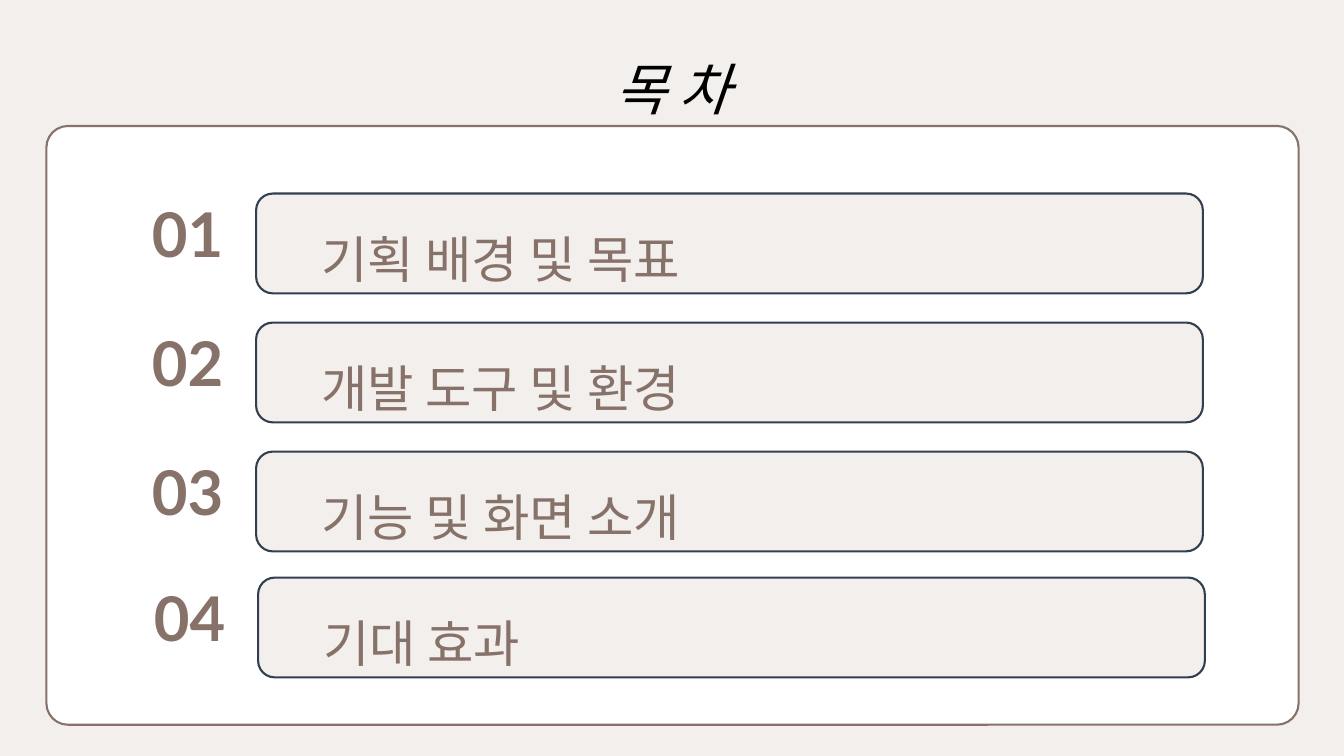
from pptx import Presentation
from pptx.dml.color import RGBColor
from pptx.enum.shapes import MSO_SHAPE
from pptx.enum.text import MSO_ANCHOR, MSO_AUTO_SIZE, PP_ALIGN
from pptx.util import Inches, Pt

ROUNDED = MSO_SHAPE.ROUNDED_RECTANGLE
MIDDLE = MSO_ANCHOR.MIDDLE
GROW = MSO_AUTO_SIZE.SHAPE_TO_FIT_TEXT
LEFT, CENTER = PP_ALIGN.LEFT, PP_ALIGN.CENTER
BEIGE, BROWN, NAVY = "F3EFEC", "87726A", "323F4F"


def color(value):
    return RGBColor.from_string(value)


def add_panel(box, corner, fill, line):
    shape = slide.shapes.add_shape(ROUNDED, *map(Inches, box))
    shape.adjustments[0] = corner
    shape.shadow.inherit = False
    shape.fill.solid()
    shape.fill.fore_color.rgb = color(fill)
    shape.line.color.rgb = color(line)
    shape.line.width = Pt(1.5)
    return shape


presentation = Presentation()
presentation.slide_width = Inches(13.33)
presentation.slide_height = Inches(7.5)
slide = presentation.slides.add_slide(presentation.slide_layouts[6])
slide.background.fill.solid()
slide.background.fill.fore_color.rgb = color(BEIGE)

add_panel((0.46, 1.25, 12.42, 5.94), 0.036, "FFFFFF", BROWN)

title = slide.shapes.add_textbox(Inches(3.42), Inches(0.16), Inches(6.49), Inches(0.98))
title.text_frame.word_wrap = True
title.text_frame.auto_size = GROW
paragraph = title.text_frame.paragraphs[0]
paragraph.alignment = CENTER
paragraph.line_spacing = 1.5
run = paragraph.add_run()
run.text = "목 차"
run.font.name = "Lato"
run.font.size = Pt(40)
run.font.italic = True
run.font.color.rgb = color("000000")

chapters = [
    ("기획 배경 및 목표", 2.54, 1.92),
    ("개발 도구 및 환경", 2.54, 3.2),
    ("기능 및 화면 소개", 2.54, 4.48),
    ("기대 효과", 2.56, 5.73),
]
for index, (chapter, left, top) in enumerate(chapters, 1):
    bar = add_panel((left, top, 9.39, 0.99), 0.167, BEIGE, NAVY)
    bar.text_frame.vertical_anchor = MIDDLE
    paragraph = bar.text_frame.paragraphs[0]
    paragraph.level = 1
    paragraph.alignment = LEFT
    paragraph.line_spacing = 1.5
    run = paragraph.add_run()
    run.text = chapter
    run.font.name = "Lato"
    run.font.size = Pt(36)
    run.font.color.rgb = color(BROWN)

    number = slide.shapes.add_textbox(
        Inches(left - 1.14), Inches(top - 0.03), Inches(0.92), Inches(0.84))
    number.text_frame.word_wrap = True
    number.text_frame.auto_size = GROW
    paragraph = number.text_frame.paragraphs[0]
    paragraph.alignment = CENTER
    run = paragraph.add_run()
    run.text = f"{index:02d}"
    run.font.name = "Lato"
    run.font.size = Pt(44)
    run.font.bold = True
    run.font.color.rgb = color(BROWN)

presentation.save("out.pptx")
